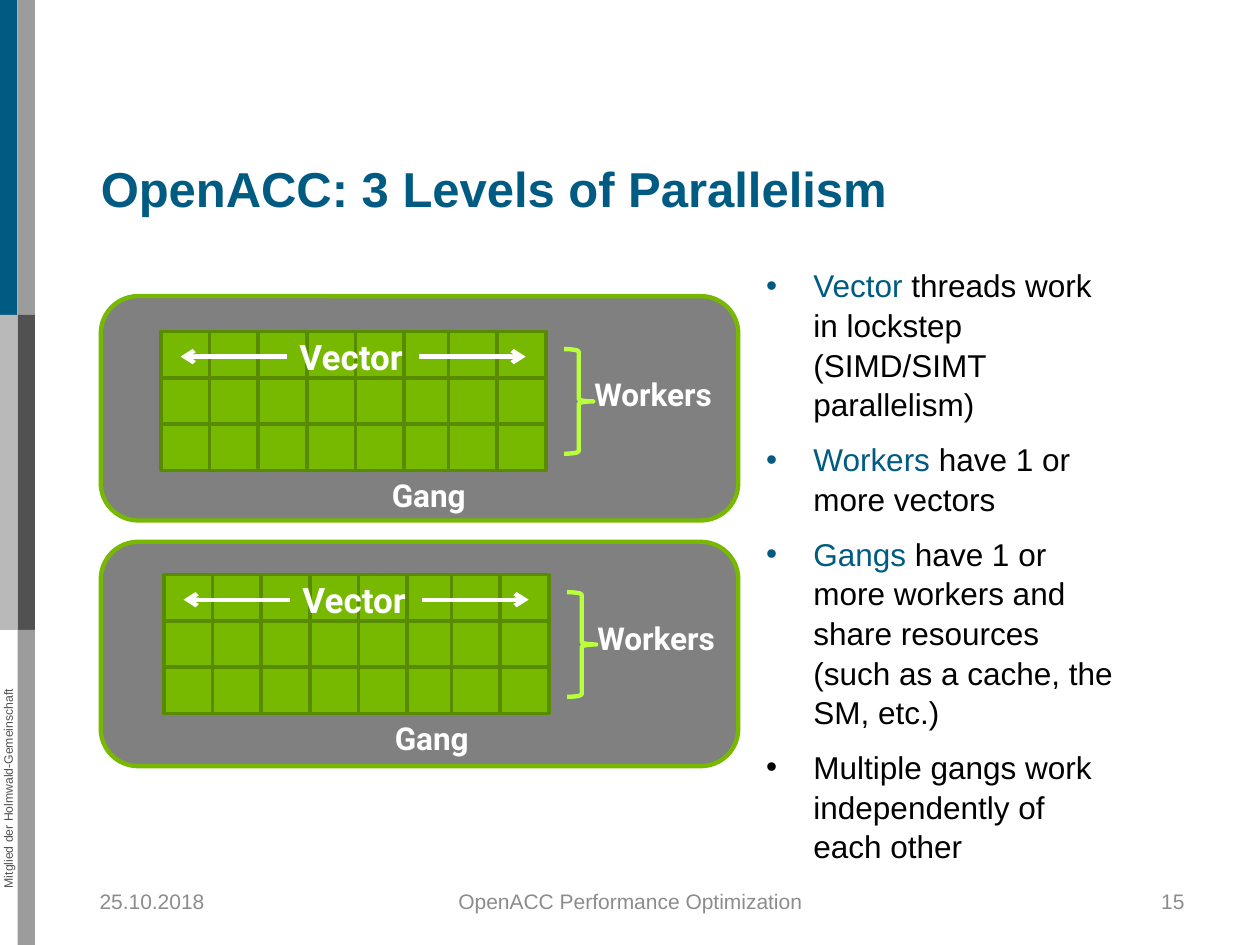
from lxml import etree
from pptx import Presentation
from pptx.dml.color import RGBColor
from pptx.enum.shapes import MSO_CONNECTOR, MSO_SHAPE
from pptx.enum.text import MSO_ANCHOR, PP_ALIGN
from pptx.oxml.ns import qn
from pptx.util import Pt

RECTANGLE = MSO_SHAPE.RECTANGLE
ROUNDED = MSO_SHAPE.ROUNDED_RECTANGLE
BRACE = MSO_SHAPE.RIGHT_BRACE
STRAIGHT = MSO_CONNECTOR.STRAIGHT
TOP, MIDDLE = MSO_ANCHOR.TOP, MSO_ANCHOR.MIDDLE
LEFT, CENTER, RIGHT = PP_ALIGN.LEFT, PP_ALIGN.CENTER, PP_ALIGN.RIGHT

BLUE, BLACK, WHITE = "005B82", "000000", "FFFFFF"
LIGHT_GRAY, MID_GRAY, DARK_GRAY = "B9B9B9", "9C9C9C", "515151"
FOOTER_GRAY, PANEL_GRAY = "8C8C8C", "808080"
GREEN, DARK_GREEN, LIME = "76B900", "598B00", "B8FF3C"

BULLETS = [
    ("Vector", " threads work in lockstep (SIMD/SIMT parallelism)"),
    ("Workers", " have 1 or more vectors"),
    ("Gangs", " have 1 or more workers and share resources (such as a cache, the SM, etc.)"),
    ("", "Multiple gangs work independently of each other"),
]


def color(value):
    return RGBColor.from_string(value)


class SlideBuilder:
    body_font = "Arial"
    diagram_font = "Roboto"
    default_insets = (7.2, 3.6, 7.2, 3.6)

    def __init__(self, slide):
        self.slide = slide
        self.shapes = slide.shapes

    def set_frame(self, frame, insets, anchor):
        frame.word_wrap = True
        frame.vertical_anchor = anchor
        margins = [Pt(inset) for inset in insets]
        frame.margin_left, frame.margin_top, frame.margin_right, frame.margin_bottom = margins

    def set_font(self, font, size, fill, name=None, bold=False):
        font.name = name or self.body_font
        font.size = Pt(size)
        font.bold = bold
        font.color.rgb = color(fill)

    def title(self, text, left, top, width, height):
        shape = self.shapes.title
        shape.left, shape.top, shape.width, shape.height = Pt(left), Pt(top), Pt(width), Pt(height)
        self.set_frame(shape.text_frame, (0, 0, 0, 0), TOP)
        shape.text_frame.text = text
        paragraph = shape.text_frame.paragraphs[0]
        paragraph.alignment = LEFT
        self.set_font(paragraph.font, 28, BLUE, bold=True)

    def shape(self, kind, left, top, width, height, fill=None, line=None, weight=2.5):
        shape = self.shapes.add_shape(kind, Pt(left), Pt(top), Pt(width), Pt(height))
        shape.shadow.inherit = False
        if fill:
            shape.fill.solid()
            shape.fill.fore_color.rgb = color(fill)
        else:
            shape.fill.background()
        if line:
            shape.line.color.rgb = color(line)
            shape.line.width = Pt(weight)
        else:
            shape.line.fill.background()

    def text(self, text, left, top, width, height, size, fill, alignment=CENTER,
             name=None, bold=False, anchor=TOP, insets=default_insets, rotation=0):
        shape = self.shapes.add_textbox(Pt(left), Pt(top), Pt(width), Pt(height))
        shape.rotation = rotation
        self.set_frame(shape.text_frame, insets, anchor)
        paragraph = shape.text_frame.paragraphs[0]
        paragraph.text = text
        paragraph.alignment = alignment
        self.set_font(paragraph.font, size, fill, name, bold)

    def label(self, text, left, top, width, height, size=18):
        self.text(text, left, top, width, height, size, WHITE,
                  name=self.diagram_font, bold=True)

    def bullets(self, items, left, top, width, height):
        shape = self.shapes.add_textbox(Pt(left), Pt(top), Pt(width), Pt(height))
        frame = shape.text_frame
        self.set_frame(frame, (0, 0, 7.2, 3.6), TOP)
        for index, (term, rest) in enumerate(items):
            paragraph = frame.add_paragraph() if index else frame.paragraphs[0]
            paragraph.line_spacing = 1.05
            paragraph.space_before = Pt(3.6)
            paragraph.space_after = Pt(5)
            for text, fill in ((term, BLUE), (rest, BLACK)):
                if text:
                    run = paragraph.add_run()
                    run.text = text
                    self.set_font(run.font, 18, fill)
            properties = paragraph._p.get_or_add_pPr()
            properties.set("marL", str(Pt(27)))
            properties.set("indent", str(Pt(-27)))
            etree.SubElement(properties, qn("a:buFont")).set("typeface", self.body_font)
            etree.SubElement(properties, qn("a:buChar")).set("char", "•")

    def arrow(self, start, end, y):
        connector = self.shapes.add_connector(STRAIGHT, Pt(start), Pt(y), Pt(end), Pt(y))
        connector.line.color.rgb = color(WHITE)
        connector.line.width = Pt(2.5)
        line = connector.line._get_or_add_ln()
        etree.SubElement(line, qn("a:tailEnd")).set("type", "arrow")
        etree.SubElement(connector._element.spPr, qn("a:effectLst"))

    def gang(self, panel_top, left, top):
        self.shape(ROUNDED, 57.6, panel_top, 364.3, 128.2, PANEL_GRAY, GREEN)
        self.shape(BRACE, left + 230.4, top + 10.1, 16.6, 59.8, line=LIME)
        self.label("Workers", left + 232.6, top + 21.6, 97.2, 29)
        self.label("Gang", left + 90, top + 79.2, 126, 29)
        column_pitch, row_pitch = 27.8, 26.5
        for column in range(8):
            overlap = 2.5 if column >= 6 else 0
            for row in range(3):
                self.shape(RECTANGLE, left + column * column_pitch - overlap,
                           top + row * row_pitch, 28, 26.6, GREEN, DARK_GREEN, 2)
        self.label("Vector", left - 2.6, top - 1, 222.5, 31.7, 20)
        self.arrow(left + 147.6, left + 208.4, top + 14.4)
        self.arrow(left + 72, left + 11.2, top + 14.4)


def main():
    presentation = Presentation()
    presentation.slide_width, presentation.slide_height = Pt(720), Pt(540)
    slide = presentation.slides.add_slide(presentation.slide_layouts[5])
    builder = SlideBuilder(slide)

    stripes = [(0, 0, BLUE), (0, 1, LIGHT_GRAY),
               (1, 0, MID_GRAY), (1, 1, DARK_GRAY), (1, 2, MID_GRAY)]
    for column, row, fill in stripes:
        builder.shape(RECTANGLE, column * 10, row * 180, 10, 180, fill)
    builder.text("Mitglied der Holmwald-Gemeinschaft", -85, 446.4, 179.3, 8.6, 7, DARK_GRAY,
                 insets=(0, 0, 0, 0), rotation=270)

    footers = [("25.10.2018", 56.9, 167.8, LEFT, (0, 3.6, 7.2, 3.6)),
               ("OpenACC Performance Optimization", 246.2, 228.2, CENTER, builder.default_insets),
               ("15", 516.2, 167.8, RIGHT, builder.default_insets)]
    for text, left, width, alignment, insets in footers:
        builder.text(text, left, 500.4, width, 28.8, 12, FOOTER_GRAY, alignment,
                     anchor=MIDDLE, insets=insets)

    builder.title("OpenACC: 3 Levels of Parallelism", 57.6, 90.7, 589.7, 45.4)
    builder.bullets(BULLETS, 437.8, 151.2, 210.2, 331.2)
    for panel_top, left, top in ((169.2, 92, 189.4), (309.6, 93.7, 328.3)):
        builder.gang(panel_top, left, top)

    presentation.save("out.pptx")


if __name__ == "__main__":
    main()
